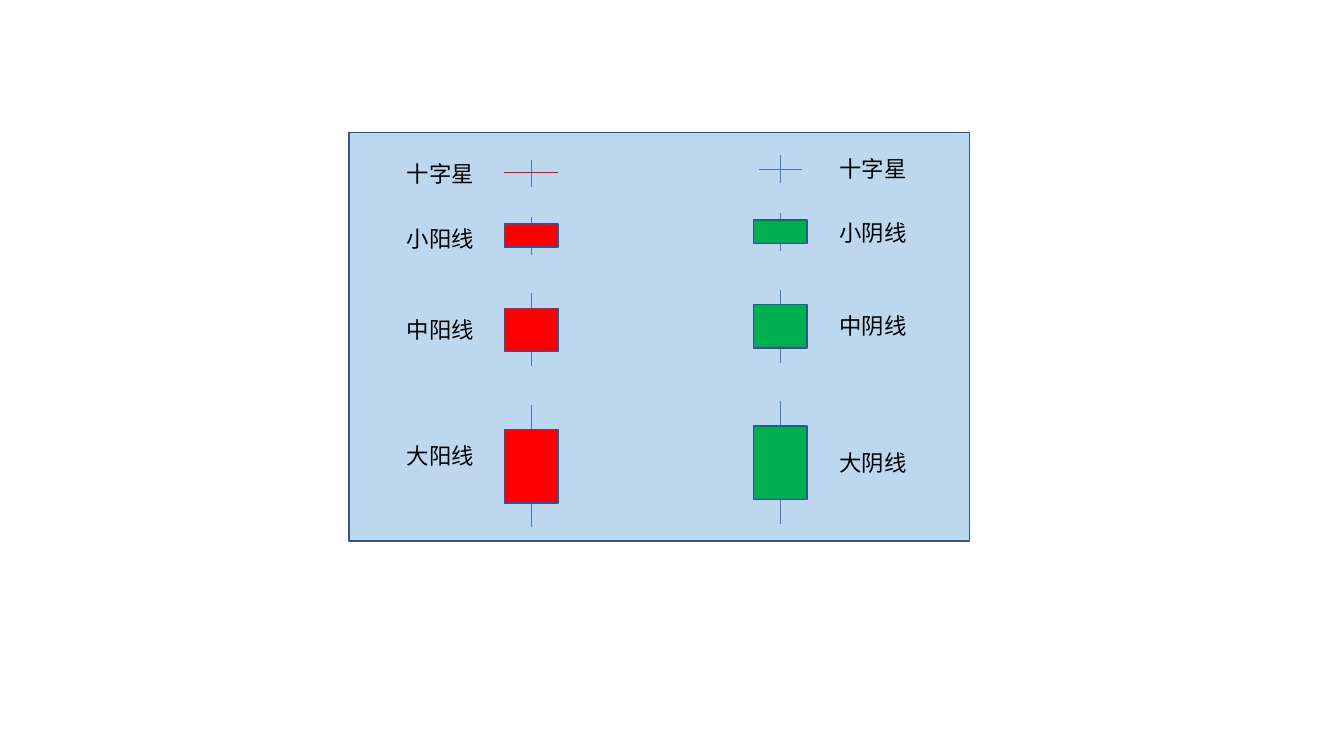
import pptx
import pptx.util
import pptx.dml.color
import pptx.enum.shapes
import pptx.enum.text
import pptx.oxml
import pptx.oxml.ns
from lxml import etree

Pt = pptx.util.Pt
COLORS = {
    "panel": "BDD7EE",
    "outline": "325491",
    "wick": "4472C4",
    "rising": "FF0000",
    "falling": "00B050",
    "text": "000000",
}
FONT = "Noto Sans CJK SC"
BODY_WIDTH = 38.4
CANDLES = [(154.8, 27.4, 159.9, 16.6), (209.6, 52, 220.2, 31), (289.3, 87.3, 306.8, 52.4)]
STAR_WICK = (114.3, 19.6)
COLUMNS = [
    {
        "color": "rising", "center": 379.5, "shift": 0, "label_left": 283.5,
        "star": (123.1, BODY_WIDTH, "rising"),
        "labels": [("十字星", 110.9), ("小阳线", 157), ("中阳线", 222.3), ("大阳线", 312.5)],
    },
    {
        "color": "falling", "center": 557.4, "shift": -2.6, "label_left": 592.6,
        "star": (121, 31, "wick"),
        "labels": [("十字星", 107.3), ("小阴线", 152.8), ("中阴线", 219.4), ("大阴线", 317.3)],
    },
]


class CandleSlide:
    """Holds the slide and the style of its candlestick legend."""

    def __init__(self, slide):
        self.slide = slide

    def color(self, name):
        return pptx.dml.color.RGBColor.from_string(COLORS[name])

    def box(self, left, top, width, height, fill):
        shape = self.slide.shapes.add_shape(
            pptx.enum.shapes.MSO_SHAPE.RECTANGLE, Pt(left), Pt(top), Pt(width), Pt(height))
        shape.shadow.inherit = False
        shape.fill.solid()
        shape.fill.fore_color.rgb = self.color(fill)
        shape.line.color.rgb = self.color("outline")
        shape.line.width = Pt(1)

    def line(self, start_x, start_y, end_x, end_y, color):
        connector = self.slide.shapes.add_connector(
            pptx.enum.shapes.MSO_CONNECTOR.STRAIGHT,
            Pt(start_x), Pt(start_y), Pt(end_x), Pt(end_y))
        connector.line.color.rgb = self.color(color)
        connector.line.width = Pt(0.5)
        etree.SubElement(connector._element.spPr, pptx.oxml.ns.qn("a:effectLst"))

    def label(self, left, top, text):
        shape = self.slide.shapes.add_textbox(Pt(left), Pt(top), Pt(64), Pt(26.6))
        frame = shape.text_frame
        frame.word_wrap = True
        frame.auto_size = pptx.enum.text.MSO_AUTO_SIZE.SHAPE_TO_FIT_TEXT
        paragraph = frame.paragraphs[0]
        paragraph.text = text
        paragraph.font.size = Pt(16)
        paragraph.font.color.rgb = self.color("text")
        paragraph.font.name = FONT
        properties = paragraph._p.find(".//" + pptx.oxml.ns.qn("a:defRPr"))
        etree.SubElement(properties, pptx.oxml.ns.qn("a:ea"), typeface=FONT)

    def wick(self, center, top, height):
        self.line(center, top, center, top + height, "wick")

    def column(self, column):
        center, shift = column["center"], column["shift"]
        self.wick(center, STAR_WICK[0] + 1.3 * shift, STAR_WICK[1])
        star_y, star_width, star_color = column["star"]
        self.line(center - star_width / 2, star_y, center + star_width / 2, star_y, star_color)
        for wick_top, wick_height, body_top, body_height in CANDLES:
            self.wick(center, wick_top + shift, wick_height)
            self.box(center - BODY_WIDTH / 2, body_top + shift,
                     BODY_WIDTH, body_height, column["color"])
        for text, top in column["labels"]:
            self.label(column["label_left"], top, text)


def main():
    presentation = pptx.Presentation()
    presentation.slide_width = Pt(960)
    presentation.slide_height = Pt(540)
    candle_slide = CandleSlide(presentation.slides.add_slide(presentation.slide_layouts[6]))
    candle_slide.box(249.2, 94.8, 443.4, 291.6, "panel")
    for column in COLUMNS:
        candle_slide.column(column)
    presentation.save("out.pptx")


if __name__ == "__main__":
    main()
